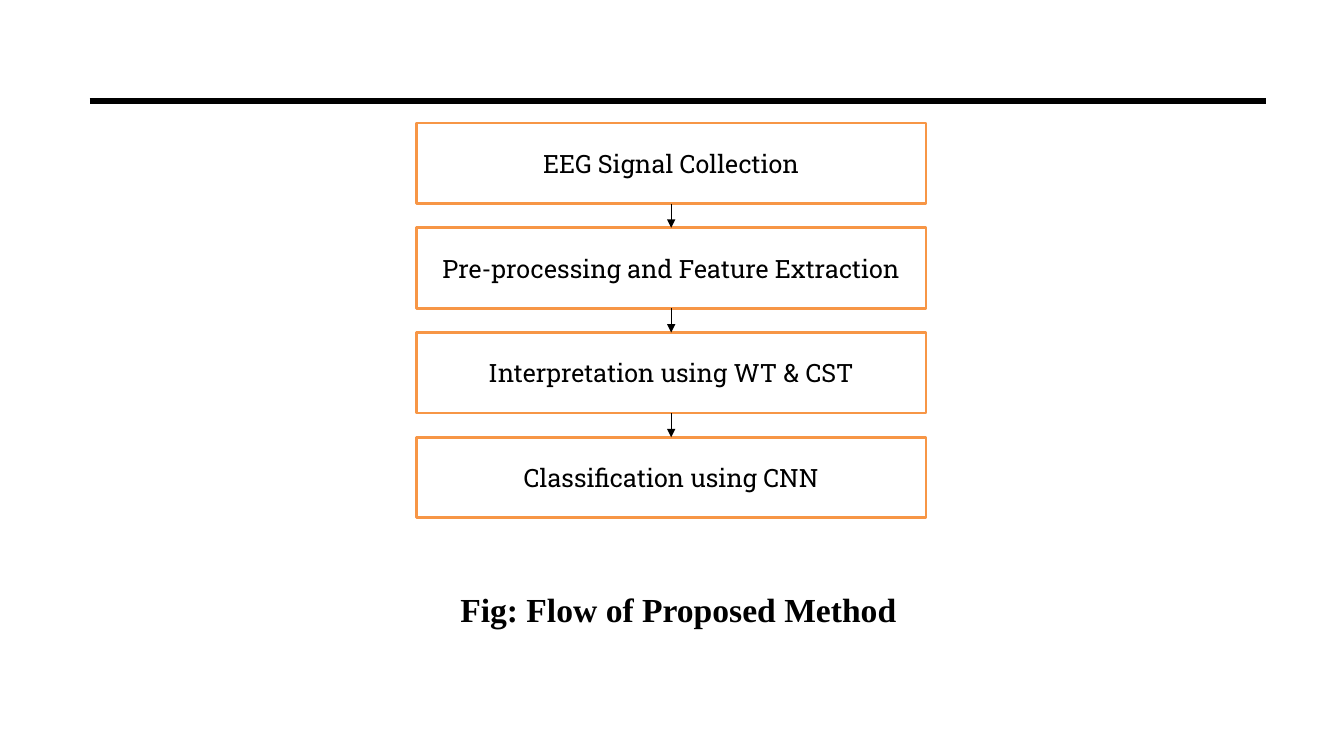
from lxml import etree
from pptx import Presentation
from pptx.dml.color import RGBColor
from pptx.enum.shapes import MSO_CONNECTOR as Connector, MSO_SHAPE as Shape
from pptx.enum.text import MSO_ANCHOR as Anchor, PP_ALIGN as Align
from pptx.oxml.ns import qn
from pptx.util import Cm, Pt

# Content
STEPS = [
    "EEG Signal Collection",
    "Pre-processing and Feature Extraction",
    "Interpretation using WT & CST",
    "Classification using CNN",
]
CAPTION = "Fig: Flow of Proposed Method"

# Style and layout, lengths in cm
BLACK, WHITE, ORANGE = "000000", "FFFFFF", "F79646"
SLIDE_WIDTH, SLIDE_HEIGHT = 33.87, 19.05
RULE_LEFT, RULE_RIGHT, RULE_TOP = 2.26, 31.9, 2.54
BOX_LEFT, BOX_TOP, BOX_WIDTH, BOX_HEIGHT = 10.49, 3.1, 12.85, 2.03
BOX_PITCH = 2.64
CAPTION_AREA = (11.35, 14.71, 12.01, 1.35)


def color(hex_value):
    return RGBColor.from_string(hex_value)


def format_text(paragraph, font_name, size, bold=False):
    font = paragraph.runs[0].font
    font.name, font.size, font.bold = font_name, Pt(size), bold
    font.color.rgb = color(BLACK)


def add_line(slide, start, end, width, arrow=False):
    line = slide.shapes.add_connector(
        Connector.STRAIGHT, *(Cm(value) for value in start + end))
    line.line.color.rgb = color(BLACK)
    line.line.width = Pt(width)
    if arrow:
        outline = line.line._get_or_add_ln()
        etree.SubElement(outline, qn("a:tailEnd"), type="triangle")
    etree.SubElement(line._element.spPr, qn("a:effectLst"))


def add_step(slide, text, top):
    box = slide.shapes.add_shape(
        Shape.RECTANGLE, Cm(BOX_LEFT), Cm(top), Cm(BOX_WIDTH), Cm(BOX_HEIGHT))
    box.shadow.inherit = False
    box.fill.solid()
    box.fill.fore_color.rgb = color(WHITE)
    box.line.color.rgb = color(ORANGE)
    box.line.width = Pt(2)
    box.text_frame.text = text
    box.text_frame.word_wrap = True
    box.text_frame.vertical_anchor = Anchor.MIDDLE
    paragraph = box.text_frame.paragraphs[0]
    paragraph.alignment = Align.CENTER
    format_text(paragraph, "Roboto Slab", 18)


def add_caption(slide):
    caption = slide.shapes.add_textbox(*(Cm(value) for value in CAPTION_AREA))
    caption.text_frame.word_wrap = True
    caption.text_frame.text = CAPTION
    format_text(caption.text_frame.paragraphs[0], "Times New Roman", 24, bold=True)


def main():
    presentation = Presentation()
    presentation.slide_width = Cm(SLIDE_WIDTH)
    presentation.slide_height = Cm(SLIDE_HEIGHT)
    slide = presentation.slides.add_slide(presentation.slide_layouts[6])

    # Header rule
    add_line(slide, (RULE_LEFT, RULE_TOP), (RULE_RIGHT, RULE_TOP), 4.5)

    # Flow boxes, then the arrows between them
    tops = [BOX_TOP + index * BOX_PITCH for index in range(len(STEPS))]
    for text, top in zip(STEPS, tops):
        add_step(slide, text, top)
    center = BOX_LEFT + BOX_WIDTH / 2
    for top, next_top in zip(tops, tops[1:]):
        add_line(slide, (center, top + BOX_HEIGHT), (center, next_top), 0.75, arrow=True)

    add_caption(slide)
    presentation.save("out.pptx")


if __name__ == "__main__":
    main()
